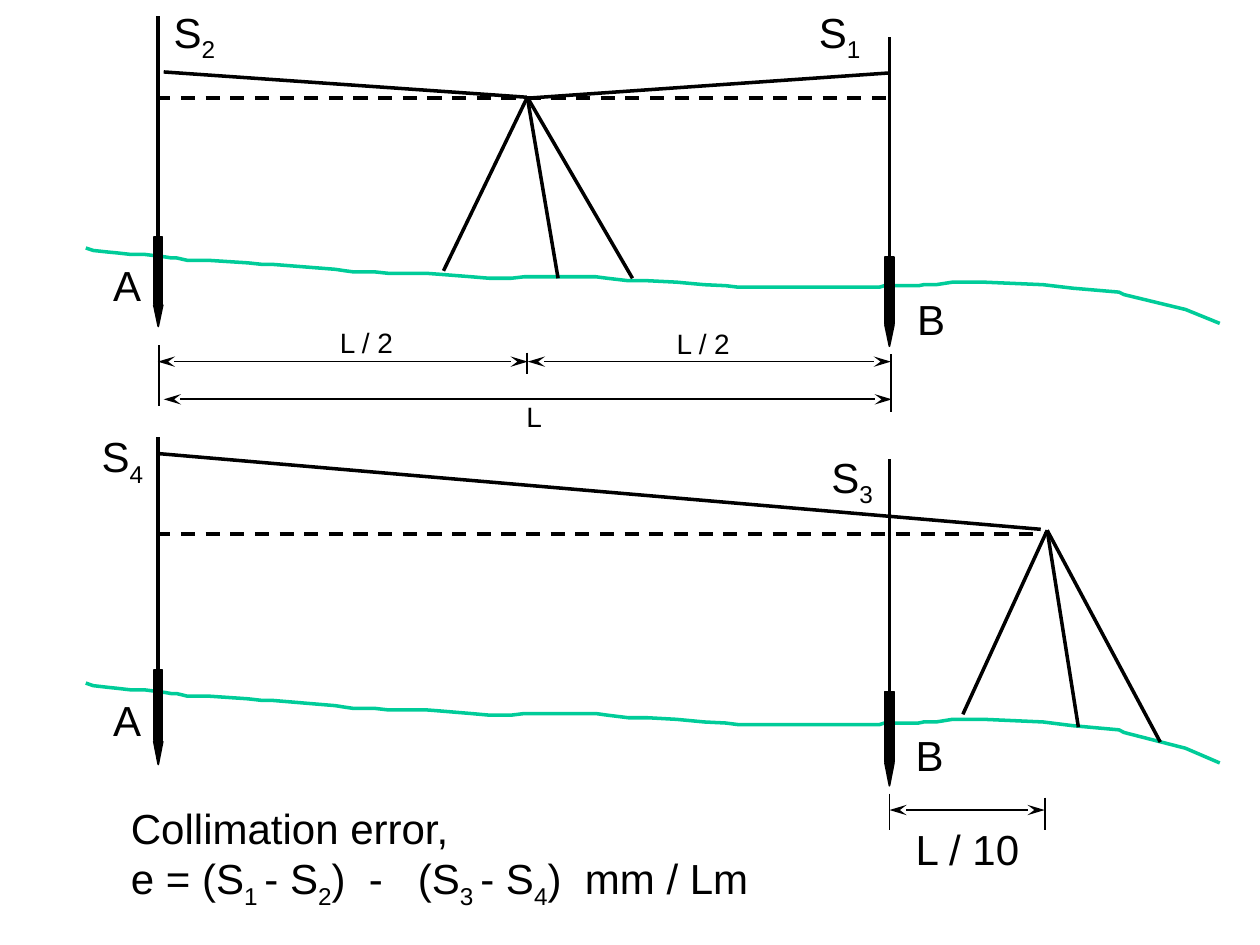
from lxml.etree import SubElement
from pptx import Presentation
from pptx.dml.color import RGBColor
from pptx.enum.dml import MSO_LINE as Dash
from pptx.enum.shapes import MSO_CONNECTOR as Link, MSO_SHAPE as Form
from pptx.enum.text import MSO_AUTO_SIZE as Fit
from pptx.oxml.ns import qn
from pptx.util import Cm, Pt

BLACK, GREEN = "000000", "00CC99"
FONT = "Arial"

# Ground profile: x on the slide, drop below the left end (cm)
PROFILE = [
    (1.73, 0), (1.88, .05), (2.16, .08), (2.36, .1), (2.64, .13), (2.92, .13),
    (3.33, .18), (3.45, .2), (3.56, .2), (3.78, .25), (4.22, .25), (5, .3),
    (5.28, .33), (5.49, .33), (6.76, .43), (6.96, .46), (7.11, .48),
    (7.54, .48), (7.82, .51), (8.59, .51), (8.86, .53), (9.5, .58),
    (9.86, .61), (10.31, .61), (10.57, .58), (12.01, .58), (12.24, .61),
    (12.67, .66), (13.06, .66), (13.64, .69), (14.2, .74), (14.63, .76),
    (14.88, .79), (17.73, .79), (17.83, .76), (18.52, .76), (18.62, .74),
    (18.87, .74), (19.2, .69), (19.84, .69), (21.03, .74), (21.62, .81),
    (22.56, .89), (22.66, .94), (23.9, 1.24), (24.54, 1.5), (24.59, 1.52),
]
GROUNDS = [(5, 1), (13.77, 1.06)]  # top, vertical stretch

# Tripods: head, feet
TRIPODS = [
    ((10.63, 1.96), [(8.94, 5.46), (11.25, 5.61), (12.75, 5.61)]),
    ((21.11, 10.69), [(19.41, 14.4), (21.74, 14.66), (23.39, 14.96)]),
]

# Staffs: centre x, staff top, peg top, peg height, tip height
STAFFS = [
    (3.19, .33, 4.78, 1.35, .43), (17.93, .74, 5.18, 1.35, .43),
    (3.19, 8.81, 13.51, 1.42, .46), (17.93, 9.25, 13.94, 1.42, .46),
]
PEG = .18

SIGHTS = [(10.62, 1.96, 3.3, 1.45), (10.62, 1.98, 17.93, 1.47),
          (20.98, 10.67, 3.15, 9.14)]
LEVELS = [(3.15, 10.44, 1.98), (10.62, 17.93, 1.98), (3.15, 21.06, 10.77)]
TICKS = [(3.2, 6.96, 8.18), (10.62, 7.11, 7.54), (17.96, 7.14, 8.31),
         (17.93, 16, 16.74), (21.06, 16.08, 16.74)]
SPANS = [(3.18, 10.64, 7.29), (10.64, 17.96, 7.29), (3.3, 17.98, 8.05),
         (17.93, 21.06, 16.33)]

# Labels: left, top, width, height, size, lines; every second run is a subscript
LABELS = [
    (3.25, 0, 1.35, 1.42, 24, [("S", "2")]),
    (16.26, 0, 1.35, 1.42, 24, [("S", "1")]),
    (1.8, 8.56, 1.35, 1.42, 24, [("S", "4")]),
    (16.51, 8.97, 1.35, 1.42, 24, [("S", "3")]),
    (2.03, 5.11, 1.07, 1.27, 24, [("A",)]),
    (18.24, 5.79, 1.07, 1.27, 24, [("B",)]),
    (2.03, 13.87, 1.07, 1.27, 24, [("A",)]),
    (18.21, 14.58, 1.07, 1.27, 24, [("B",)]),
    (6.6, 6.43, 1.6, .94, 16, [("L / 2",)]),
    (13.39, 6.45, 1.6, .94, 16, [("L / 2",)]),
    (10.36, 7.92, .94, .94, 16, [("L",)]),
    (18.21, 16.48, 2.64, 1.27, 24, [("L / 10",)]),
    (2.39, 16.05, 12.95, 2.44, 24, [
        ("Collimation error,",),
        ("e = (S", "1 ", "- S", "2", ")  -   (S", "3 ", "- S", "4",
         ")  mm / Lm")]),
]

deck = Presentation()
deck.slide_width, deck.slide_height = Cm(25.4), Cm(19.05)
shapes = deck.slides.add_slide(deck.slide_layouts[6]).shapes


def color(code):
    return RGBColor.from_string(code)


def stroke(shape, code, width):
    shape.line.color.rgb = color(code)
    shape.line.width = Pt(width)


def line(x1, y1, x2, y2, width=2):
    link = shapes.add_connector(Link.STRAIGHT, Cm(x1), Cm(y1), Cm(x2), Cm(y2))
    stroke(link, BLACK, width)
    SubElement(link._element.spPr, qn("a:effectLst"))
    return link


def ground(top, scale):
    start, *rest = [(Cm(x), Cm(top + y * scale)) for x, y in PROFILE]
    pen = shapes.build_freeform(*start)
    pen.add_line_segments(rest, close=False)
    shape = pen.convert_to_shape()
    shape.fill.background()
    shape.shadow.inherit = False
    stroke(shape, GREEN, 2)


def staff(x, top, peg, tall, tip):
    """Draw a levelling staff standing on a pointed peg."""
    group = shapes.add_group_shape()
    parts = []
    for form, y, size in ((Form.RECTANGLE, peg, tall),
                          (Form.ISOSCELES_TRIANGLE, peg + tall + .02, tip)):
        part = group.shapes.add_shape(
            form, Cm(x - PEG / 2), Cm(y), Cm(PEG), Cm(size))
        part.fill.solid()
        part.fill.fore_color.rgb = color(BLACK)
        part.shadow.inherit = False
        stroke(part, BLACK, 1)
        parts.append(part)
    parts[1].rotation = 180
    line(x, peg, x, top).begin_connect(parts[0], 0)


def span(x1, x2, y):
    """Draw a dimension line with an arrowhead at each end."""
    ln = line(x1, y, x2, y, 1).line._get_or_add_ln()
    for end in ("a:headEnd", "a:tailEnd"):
        SubElement(ln, qn(end), type="stealth", w="med", len="lg")


def label(x, y, w, h, size, rows):
    box = shapes.add_textbox(Cm(x), Cm(y), Cm(w), Cm(h))
    frame = box.text_frame
    frame.word_wrap = rows == [("L",)]
    frame.auto_size = Fit.SHAPE_TO_FIT_TEXT
    para = frame.paragraphs[0]
    for i, row in enumerate(rows):
        if i:
            para.add_line_break()
        for j, text in enumerate(row):
            run = para.add_run()
            run.text = text
            run.font.name, run.font.size = FONT, Pt(size)
            run.font.color.rgb = color(BLACK)
            if j % 2:
                run._r.get_or_add_rPr().set("baseline", "-25000")


for item in GROUNDS:
    ground(*item)
for head, feet in TRIPODS:
    for foot in feet:
        line(*head, *foot)
for item in STAFFS:
    staff(*item)
for item in SIGHTS:
    line(*item)
for x1, x2, y in LEVELS:
    line(x1, y, x2, y).line.dash_style = Dash.DASH
for x, y1, y2 in TICKS:
    line(x, y1, x, y2, 1)
for item in SPANS:
    span(*item)
for item in LABELS:
    label(*item)

deck.save("out.pptx")
